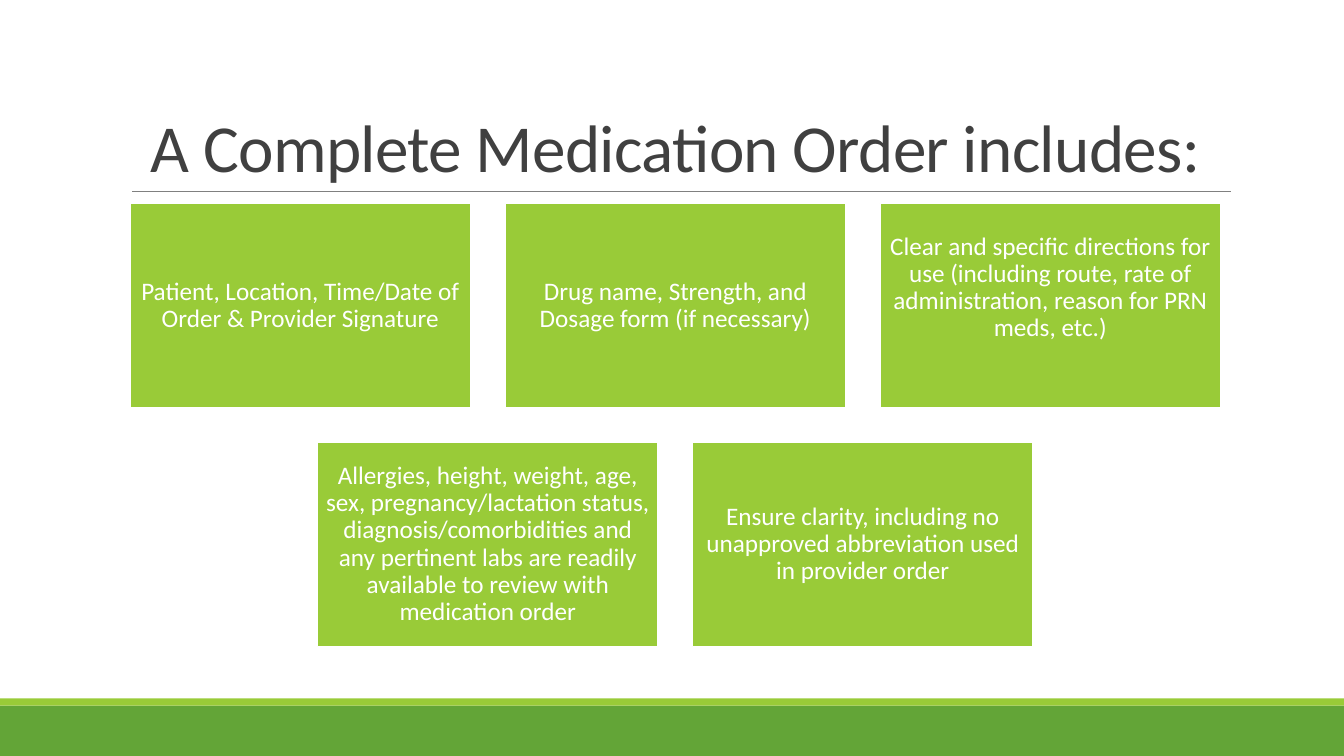
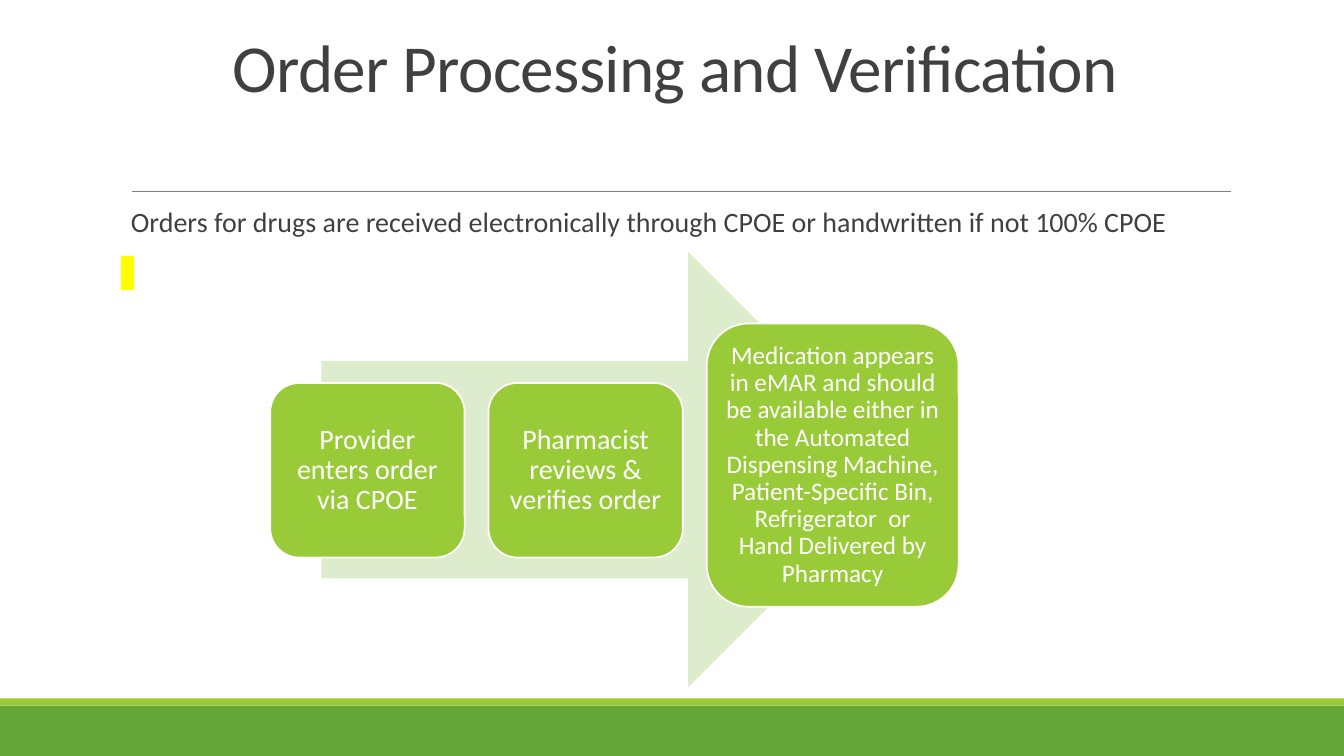
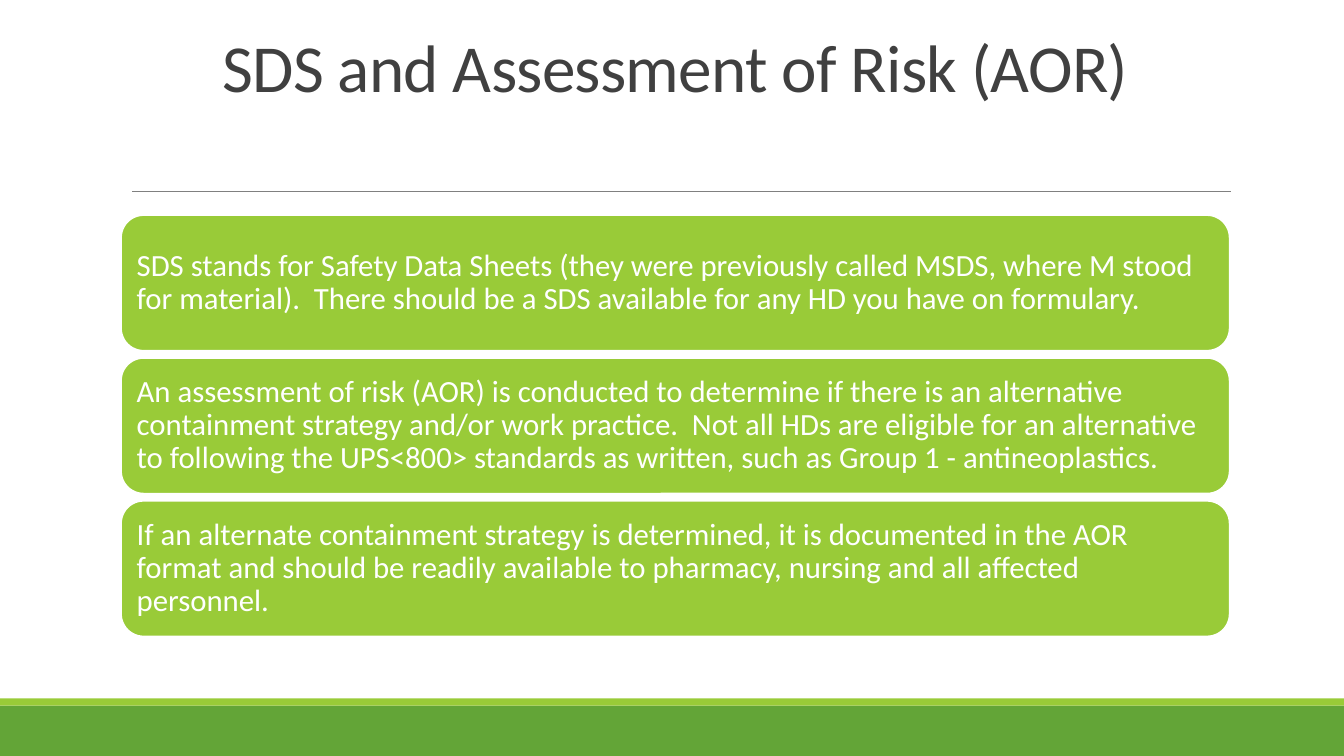
from dataclasses import dataclass

from lxml import etree
from pptx import Presentation
from pptx.dml.color import RGBColor
from pptx.enum.shapes import MSO_CONNECTOR, MSO_SHAPE
from pptx.enum.text import MSO_ANCHOR, PP_ALIGN
from pptx.oxml.ns import qn
from pptx.util import Cm, Pt

RECT = MSO_SHAPE.RECTANGLE
ROUNDED = MSO_SHAPE.ROUNDED_RECTANGLE
ARROW = MSO_SHAPE.RIGHT_ARROW
STRAIGHT = MSO_CONNECTOR.STRAIGHT
TOP, MIDDLE, BOTTOM = MSO_ANCHOR.TOP, MSO_ANCHOR.MIDDLE, MSO_ANCHOR.BOTTOM
LEFT, CENTER = PP_ALIGN.LEFT, PP_ALIGN.CENTER


@dataclass(frozen=True)
class Theme:
    """Colours, font and type sizes of the deck."""

    font: str = "Calibri"
    green: RGBColor = RGBColor(0x63, 0xA5, 0x37)
    lime: RGBColor = RGBColor(0x99, 0xCB, 0x38)
    pale: RGBColor = RGBColor(0xDE, 0xEC, 0xCE)
    white: RGBColor = RGBColor(0xFF, 0xFF, 0xFF)
    yellow: RGBColor = RGBColor(0xFF, 0xFF, 0x00)
    ink: RGBColor = RGBColor(0x40, 0x40, 0x40)
    grey: RGBColor = RGBColor(0x80, 0x80, 0x80)
    title_size: int = 48
    large_size: int = 22
    body_size: int = 20
    small_size: int = 18


class Deck:
    """Holds the style and the page being drawn."""

    width, height = 33.87, 19.05
    margin, content_width = 3.05, 27.94

    def __init__(self, theme):
        self.theme = theme
        self.deck = Presentation()
        self.deck.slide_width = Cm(self.width)
        self.deck.slide_height = Cm(self.height)
        self.page = None

    def new_page(self, title, title_bottom=2.81):
        """Start a page with its bands, rule and title."""
        theme = self.theme
        self.page = self.deck.slides.add_slide(self.deck.slide_layouts[6])
        self.shape(RECT, 0, 17.78, self.width, 1.27, theme.green)
        self.shape(RECT, 0, 17.6, self.width, 0.18, theme.lime)
        self.rule(3.33, 31.02, 4.83)
        box = self.text(title, self.margin, title_bottom - 2, self.content_width, 2,
                        theme.title_size, CENTER, BOTTOM, 0.85)
        span = box.text_frame.paragraphs[0].runs[0]
        span._r.get_or_add_rPr().set("spc", "-50")

    def rule(self, start, end, top):
        """Draw a thin horizontal line."""
        line = self.page.shapes.add_connector(STRAIGHT, Cm(start), Cm(top), Cm(end), Cm(top))
        line.line.color.rgb = self.theme.grey
        line.line.width = Pt(0.5)
        etree.SubElement(line._element.spPr, qn("a:effectLst"))

    def shape(self, kind, left, top, width, height, fill):
        """Draw a flat preset shape without an outline."""
        shape = self.page.shapes.add_shape(kind, Cm(left), Cm(top), Cm(width), Cm(height))
        shape.shadow.inherit = False
        shape.fill.solid()
        shape.fill.fore_color.rgb = fill
        shape.line.fill.background()
        return shape

    def set_text(self, frame, text, size, color, align, anchor, spacing):
        """Put one styled paragraph into a text frame."""
        frame.word_wrap = True
        frame.vertical_anchor = anchor
        para = frame.paragraphs[0]
        para.text = text
        para.alignment = align
        para.line_spacing = spacing
        para.font.name = self.theme.font
        para.font.size = Pt(size)
        para.font.color.rgb = color

    def text(self, text, left, top, width, height, size, align, anchor, spacing):
        """Add a text box in the ink colour."""
        box = self.page.shapes.add_textbox(Cm(left), Cm(top), Cm(width), Cm(height))
        self.set_text(box.text_frame, text, size, self.theme.ink, align, anchor, spacing)
        return box

    def card(self, kind, text, left, top, width, height, size,
             inset=0.18, align=CENTER, lift=0):
        """Draw a lime card with white text, raised by the given lift."""
        box = self.shape(kind, left, top, width, height, self.theme.lime)
        box.line.color.rgb = self.theme.white
        box.line.width = Pt(1.25)
        frame = box.text_frame
        frame.margin_left = frame.margin_right = frame.margin_top = Cm(inset)
        frame.margin_bottom = Cm(inset + 2 * lift)
        self.set_text(frame, text, size, self.theme.white, align, MIDDLE, 0.9)


def order_contents(deck):
    """Draw the parts of a medication order as centred rows of cards."""
    deck.new_page("A Complete Medication Order includes:", 4.83)
    directions = ("Clear and specific directions for use (including route, rate of "
                  "administration, reason for PRN meds, etc.)")
    rows = [
        [("Patient, Location, Time/Date of Order & Provider Signature", 0),
         ("Drug name, Strength, and Dosage form (if necessary)", 0),
         (directions, 0.45)],
        [("Allergies, height, weight, age, sex, pregnancy/lactation status, "
          "diagnosis/comorbidities and any pertinent labs are readily available "
          "to review with medication order", 0),
         ("Ensure clarity, including no unapproved abbreviation used in provider order", 0)],
    ]
    width, height, gap, axis = 8.59, 5.15, 0.86, 17.02
    for row, cards in enumerate(rows):
        start = axis - (len(cards) * (width + gap) - gap) / 2
        top = 5.13 + row * (height + gap)
        for column, (text, lift) in enumerate(cards):
            deck.card(RECT, text, start + column * (width + gap), top, width, height,
                      deck.theme.small_size, lift=lift)


def order_processing(deck):
    """Draw the order process as cards along an arrow."""
    theme = deck.theme
    deck.new_page("Order Processing and Verification")
    body = deck.text("Orders for drugs are received electronically through CPOE or "
                     "handwritten if not 100% CPOE", deck.margin, 5.13,
                     deck.content_width, 1.2, theme.body_size, LEFT, TOP, 0.9)
    body.text_frame.margin_left = Cm(0.25)
    body.text_frame.margin_right = 0
    deck.shape(RECT, deck.margin, 6.45, 0.33, 0.86, theme.yellow)
    deck.shape(ARROW, 8.1, 6.35, 14.73, 10.97, theme.pale)
    steps = [
        ("Provider enters order via CPOE", 9.65, 4.9, 4.4, theme.body_size, 0.2),
        ("Pharmacist reviews & verifies order", 9.65, 4.9, 4.4, theme.body_size, 0.2),
        ("Medication appears in eMAR and should be available either in the Automated "
         "Dispensing Machine, Patient-Specific Bin, Refrigerator  or Hand Delivered "
         "by Pharmacy", 8.15, 6.35, 7.14, theme.small_size, 0.18),
    ]
    for index, (text, top, width, height, size, inset) in enumerate(steps):
        deck.card(ROUNDED, text, 6.81 + index * 5.5, top, width, height, size, inset)


def risk_assessment(deck):
    """Draw the statements on risk as a stack of wide cards."""
    deck.new_page("SDS and Assessment of Risk (AOR)")
    statements = [
        "SDS stands for Safety Data Sheets (they were previously called MSDS, where M "
        "stood for material).  There should be a SDS available for any HD you have on "
        "formulary.",
        "An assessment of risk (AOR) is conducted to determine if there is an alternative "
        "containment strategy and/or work practice.  Not all HDs are eligible for an "
        "alternative to following the UPS<800> standards as written, such as Group 1 - "
        "antineoplastics.",
        "If an alternate containment strategy is determined, it is documented in the AOR "
        "format and should be readily available to pharmacy, nursing and all affected "
        "personnel.",
    ]
    for index, text in enumerate(statements):
        deck.card(ROUNDED, text, deck.margin, 5.42 + index * 3.6, deck.content_width, 3.42,
                  deck.theme.large_size, 0.23, LEFT)


def main():
    """Build the deck and save it."""
    deck = Deck(Theme())
    order_contents(deck)
    order_processing(deck)
    risk_assessment(deck)
    deck.deck.save("out.pptx")


if __name__ == "__main__":
    main()
